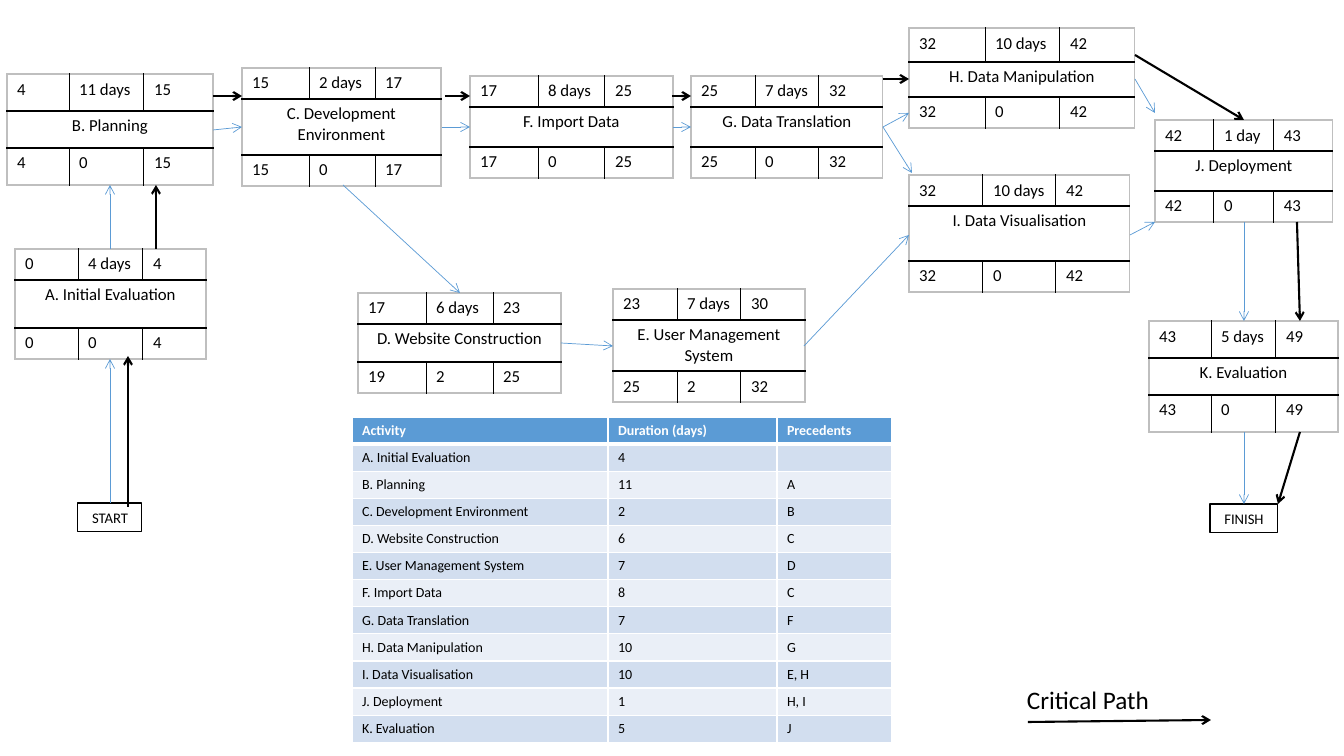
from lxml import etree
from pptx import Presentation
from pptx.dml.color import RGBColor
from pptx.enum.shapes import MSO_CONNECTOR, MSO_SHAPE
from pptx.enum.text import MSO_ANCHOR, PP_ALIGN
from pptx.oxml.ns import qn
from pptx.util import Pt

STRAIGHT = MSO_CONNECTOR.STRAIGHT
RECT = MSO_SHAPE.RECTANGLE
LEFT, CENTER = PP_ALIGN.LEFT, PP_ALIGN.CENTER
MIDDLE = MSO_ANCHOR.MIDDLE
FONT = "Calibri"
PX = 914400 / 100.8
COLORS = {"black": "000000", "white": "FFFFFF", "blue": "5B9BD5",
          "band": "D2DEEF", "light": "EAEFF7", "frame": "BFBFBF"}

ACTIVITIES = [
    ("A. Initial Evaluation", 4, ""),
    ("B. Planning", 11, "A"),
    ("C. Development Environment", 2, "B"),
    ("D. Website Construction", 6, "C"),
    ("E. User Management System", 7, "D"),
    ("F. Import Data", 8, "C"),
    ("G. Data Translation", 7, "F"),
    ("H. Data Manipulation", 10, "G"),
    ("I. Data Visualisation", 10, "E, H"),
    ("J. Deployment", 1, "H, I"),
    ("K. Evaluation", 5, "J"),
]
HEADER = ("Activity", "Duration (days)", "Precedents")
# early start, early finish, late start, slack, late finish, left, top, columns, rows
NODES = [
    (0, 4, 0, 0, 4, 15, 249, (63, 65, 63), (31, 48, 31)),
    (4, 15, 4, 0, 15, 7, 74, (62, 75, 69), (37, 37, 37)),
    (15, 17, 15, 0, 17, 242, 68, (67, 66, 66), (31, 56, 31)),
    (17, 23, 19, 2, 25, 358, 293, (68, 67, 68), (31, 38, 31)),
    (23, 30, 25, 2, 32, 613, 289, (64, 64, 64), (31, 51, 31)),
    (17, 25, 17, 0, 25, 470, 76, (68, 67, 68), (31, 40, 31)),
    (25, 32, 25, 0, 32, 691, 76, (64, 64, 64), (31, 40, 31)),
    (32, 42, 32, 0, 42, 909, 28, (76, 75, 75), (34, 35, 31)),
    (32, 42, 32, 0, 42, 909, 175, (74, 73, 74), (31, 55, 31)),
    (42, 43, 42, 0, 43, 1155, 120, (59, 60, 59), (31, 40, 31)),
    (43, 49, 43, 0, 49, 1149, 321, (62, 65, 62), (37, 37, 37)),
]
TERMINALS = [("START", 78, 503, 64, 29), ("FINISH", 1210, 504, 68, 29)]
DEPENDENCIES = [
    (110, 503, 110, 359), (110, 249, 110, 185), (213, 130, 242, 127),
    (442, 127, 470, 127), (673, 127, 691, 127), (343, 185, 460, 293),
    (561, 343, 613, 346), (804, 346, 909, 235), (883, 127, 909, 113),
    (883, 127, 912, 173), (1135, 79, 1155, 113), (1130, 235, 1155, 222),
    (1244, 222, 1244, 321), (1244, 432, 1244, 504),
]
CRITICAL = [
    (128, 507, 128, 356), (156, 249, 156, 185), (213, 96, 242, 96),
    (445, 96, 470, 96), (672, 96, 691, 96), (883, 79, 909, 79),
    (1135, 55, 1244, 120), (1297, 222, 1300, 321), (1300, 432, 1278, 504),
    (1028, 722, 1211, 720),
]


def px(*values):
    return [round(v * PX) for v in values]


def rgb(name):
    return RGBColor.from_string(COLORS[name])


def write(tf, text, size, color="black", align=LEFT, bold=False):
    p = tf.paragraphs[0]
    p.alignment = align
    if text == "":
        etree.SubElement(p._p, qn("a:endParaRPr"), sz=str(size * 100))
        return
    r = p.add_run()
    r.text = str(text)
    r.font.name, r.font.size, r.font.bold = FONT, Pt(size), bold
    r.font.color.rgb = rgb(color)


def add_border(cell, side, color, width):
    ln = etree.SubElement(cell._tc.get_or_add_tcPr(), qn("a:ln" + side), w=str(Pt(width)))
    fill = etree.SubElement(ln, qn("a:solidFill"))
    etree.SubElement(fill, qn("a:srgbClr"), val=COLORS[color])


def add_grid(left, top, cols, rows):
    frame = s.shapes.add_table(len(rows), len(cols), *px(left, top, sum(cols), sum(rows)))
    table = frame.table
    table.first_row = table.horz_banding = False
    for col, width in zip(table.columns, px(*cols)):
        col.width = width
    for row, height in zip(table.rows, px(*rows)):
        row.height = height
    return table


def add_node(name, days, node):
    early_start, early_finish, late_start, slack, late_finish, left, top, cols, rows = node
    unit = "day" if days == 1 else "days"
    table = add_grid(left, top, cols, rows)
    values = [(early_start, f"{days} {unit}", early_finish), (name, "", ""),
              (late_start, slack, late_finish)]
    for i, line in enumerate(values):
        for j, value in enumerate(line):
            cell = table.cell(i, j)
            outer = {"L": j == 0 or i == 1, "R": j == 2 or i == 1,
                     "T": i == 0, "B": i == 2}
            for side, edge in outer.items():
                width = 0.75 if side in "LR" and not edge else 1
                add_border(cell, side, "frame" if edge else "black", width)
            cell.fill.background()
            write(cell.text_frame, value, 12, align=CENTER if i == 1 else LEFT)
    table.cell(1, 0).merge(table.cell(1, 2))


def add_summary():
    table = add_grid(352, 417, (256, 169, 115), [27] * (len(ACTIVITIES) + 1))
    for i, line in enumerate([HEADER] + ACTIVITIES):
        head = i == 0
        for j, value in enumerate(line):
            cell = table.cell(i, j)
            widths = {"L": 1, "R": 1, "T": 3 if i == 1 else 1, "B": 3 if head else 1}
            for side, width in widths.items():
                add_border(cell, side, "white", width)
            cell.fill.solid()
            cell.fill.fore_color.rgb = rgb("blue" if head else "band" if i % 2 else "light")
            write(cell.text_frame, value, 10, "white" if head else "black", bold=head)


def add_arrow(ends, color, width):
    line = s.shapes.add_connector(STRAIGHT, *px(*ends))
    line.line.color.rgb = rgb(color)
    line.line.width = Pt(width)
    etree.SubElement(line.line._get_or_add_ln(), qn("a:tailEnd"), type="arrow")
    etree.SubElement(line._element.spPr, qn("a:effectLst"))


prs = Presentation()
prs.slide_width, prs.slide_height = px(1344, 756)
s = prs.slides.add_slide(prs.slide_layouts[6])

for (name, days, _), node in zip(ACTIVITIES, NODES):
    add_node(name, days, node)
add_summary()

for label, *box in TERMINALS:
    sp = s.shapes.add_shape(RECT, *px(*box))
    sp.shadow.inherit = False
    sp.fill.background()
    sp.line.color.rgb = rgb("black")
    sp.line.width = Pt(0.75)
    sp.text_frame.vertical_anchor = MIDDLE
    sp.text_frame.word_wrap = False
    write(sp.text_frame, label, 10.5, align=CENTER)

for ends in DEPENDENCIES:
    add_arrow(ends, "blue", 0.5)
for ends in CRITICAL:
    add_arrow(ends, "black", 1.5)

key = s.shapes.add_textbox(*px(1017, 679, 149, 40))
key.text_frame.word_wrap = True
write(key.text_frame, "Critical Path", 18)

prs.save("out.pptx")
